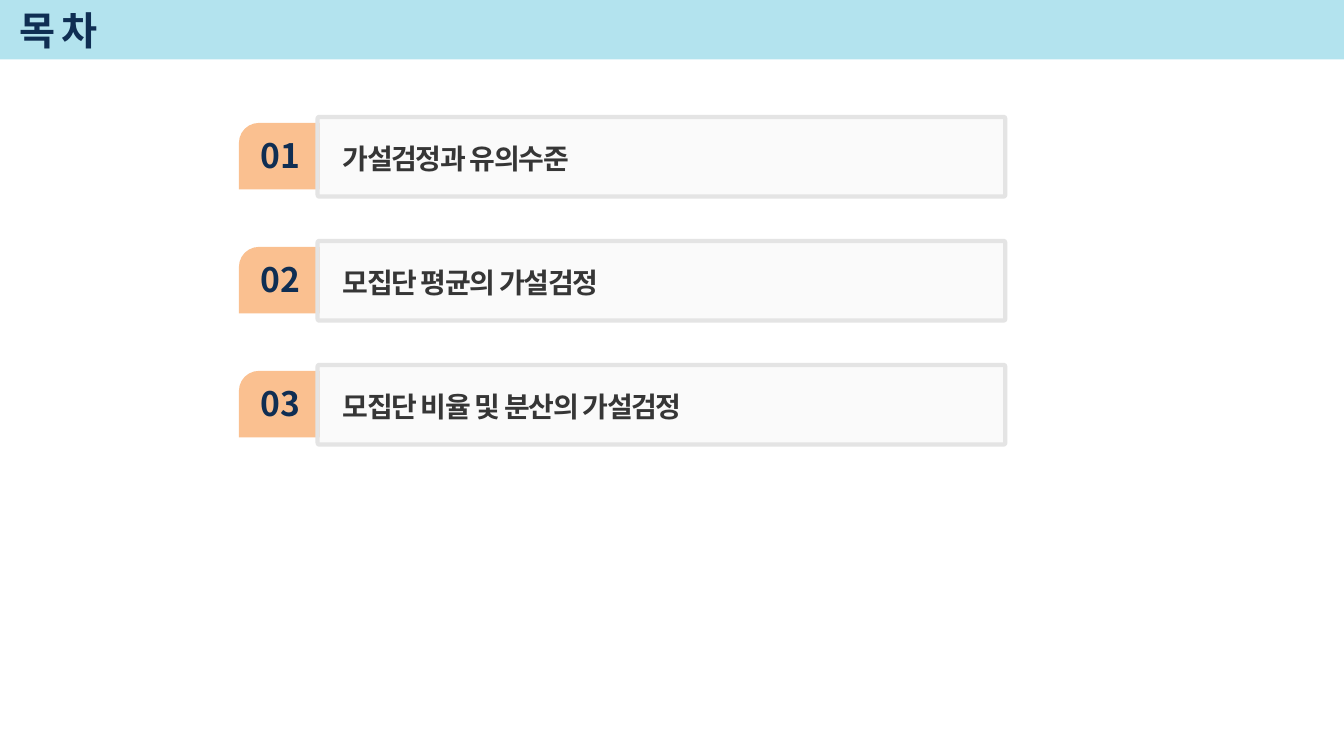
import pptx
import pptx.util
import pptx.dml.color
import pptx.enum.shapes
import pptx.enum.text
import pptx.oxml.ns
import lxml.etree

Inches = pptx.util.Inches
Pt = pptx.util.Pt
RGBColor = pptx.dml.color.RGBColor
MSO_SHAPE = pptx.enum.shapes.MSO_SHAPE
MSO_ANCHOR = pptx.enum.text.MSO_ANCHOR
PP_ALIGN = pptx.enum.text.PP_ALIGN
qn = pptx.oxml.ns.qn

FONT = "Noto Sans CJK KR"
SKY = RGBColor(0xB3, 0xE3, 0xEE)
PEACH = RGBColor(0xFA, 0xC0, 0x90)
PALE = RGBColor(0xF2, 0xF2, 0xF2)
BORDER = RGBColor(0xE4, 0xE4, 0xE4)
NAVY = RGBColor(0x0F, 0x2E, 0x53)
CHARCOAL = RGBColor(0x36, 0x36, 0x36)

TOPICS = ["가설검정과 유의수준", "모집단 평균의 가설검정", "모집단 비율 및 분산의 가설검정"]
FIRST_TOP = 1.16
PITCH = 1.23

prs = pptx.Presentation()
prs.slide_width = Inches(13.33)
prs.slide_height = Inches(7.5)
s = prs.slides.add_slide(prs.slide_layouts[6])


def add_box(kind, left, top, width, height, fill):
    sp = s.shapes.add_shape(kind, Inches(left), Inches(top), Inches(width), Inches(height))
    sp.shadow.inherit = False
    sp.fill.solid()
    sp.fill.fore_color.rgb = fill
    sp.line.fill.background()
    return sp


def add_text(text, left, top, width, height, size, color, wrap=True, spacing=0):
    tf = s.shapes.add_textbox(Inches(left), Inches(top), Inches(width), Inches(height)).text_frame
    tf.word_wrap = wrap
    p = tf.paragraphs[0]
    r = p.add_run()
    r.text = text
    r.font.size = Pt(size)
    r.font.bold = True
    r.font.name = FONT
    r.font.color.rgb = color
    rPr = r.font._element
    rPr.set("spc", str(spacing))
    lxml.etree.SubElement(rPr, qn("a:ea")).set("typeface", FONT)
    return tf


add_box(MSO_SHAPE.RECTANGLE, 0, -0.02, 13.33, 0.61, SKY)
tf = add_text("목 차", 0.09, 0.04, 11.35, 0.52, 28, NAVY, spacing=-100)
tf.vertical_anchor = MSO_ANCHOR.MIDDLE

for i, topic in enumerate(TOPICS):
    top = FIRST_TOP + i * PITCH

    tab = add_box(MSO_SHAPE.SNIP_ROUND_RECTANGLE, 2.37, top + 0.06, 0.8, 0.66, PEACH)
    tab.adjustments[0] = 0.3
    tab.adjustments[1] = 0

    tf = add_text(f"{i + 1:02d}", 2.49, top + 0.13, 0.59, 0.5, 24, NAVY, wrap=False)
    tf.paragraphs[0].alignment = PP_ALIGN.CENTER

    card = add_box(MSO_SHAPE.ROUNDED_RECTANGLE, 3.15, top, 6.82, 0.79, PALE)
    card.adjustments[0] = 0.02
    card.line.color.rgb = BORDER
    card.line.width = Pt(3)
    clr = card._element.spPr.find(qn("a:solidFill")).find(qn("a:srgbClr"))
    lxml.etree.SubElement(clr, qn("a:alpha")).set("val", "33000")

    tf = add_text(topic, 3.3, top + 0.16, 5.28, 0.44, 20, CHARCOAL, spacing=-100)
    p = tf.paragraphs[0]
    p.line_spacing = 1.1
    p.space_after = Pt(3)

prs.save("out.pptx")
